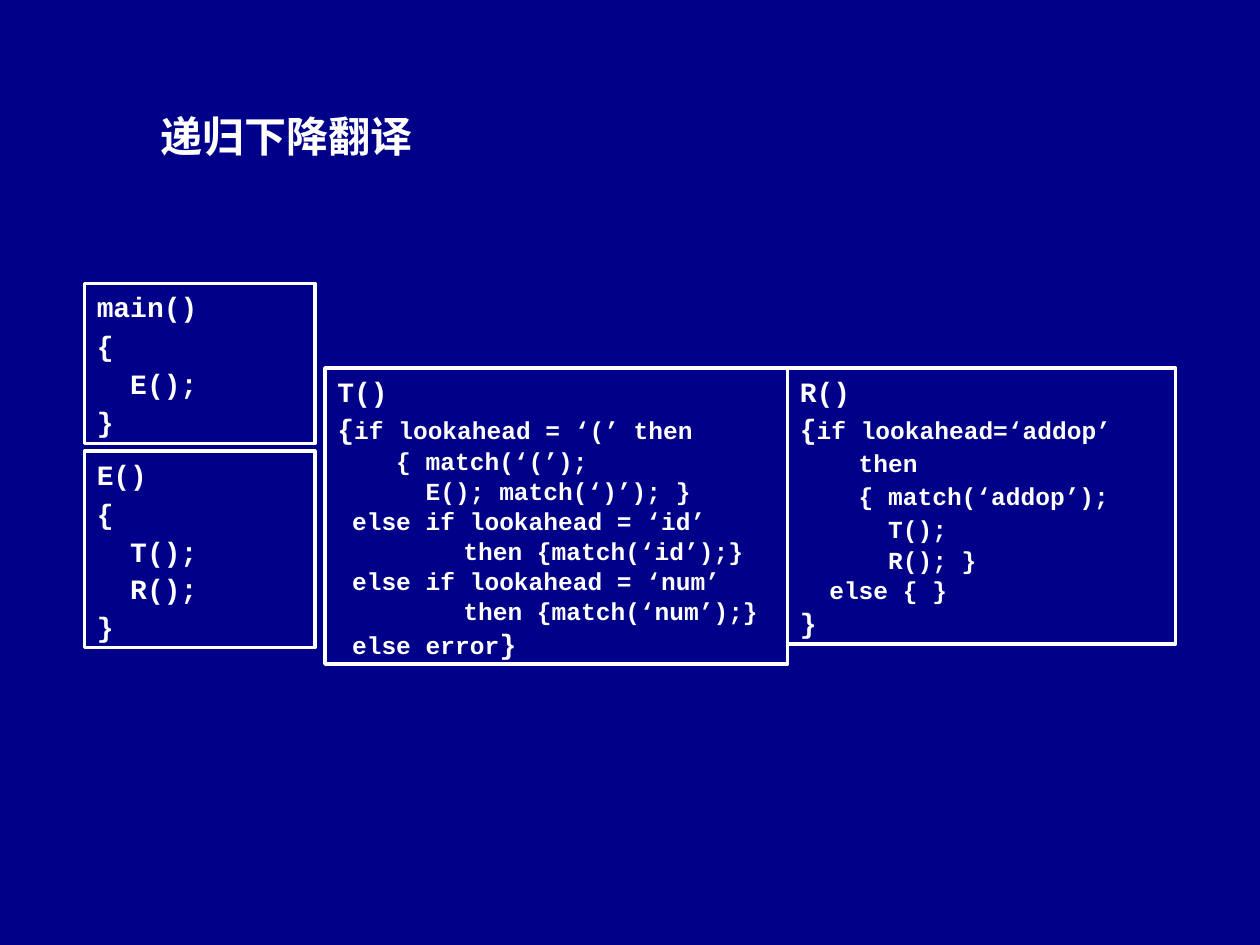
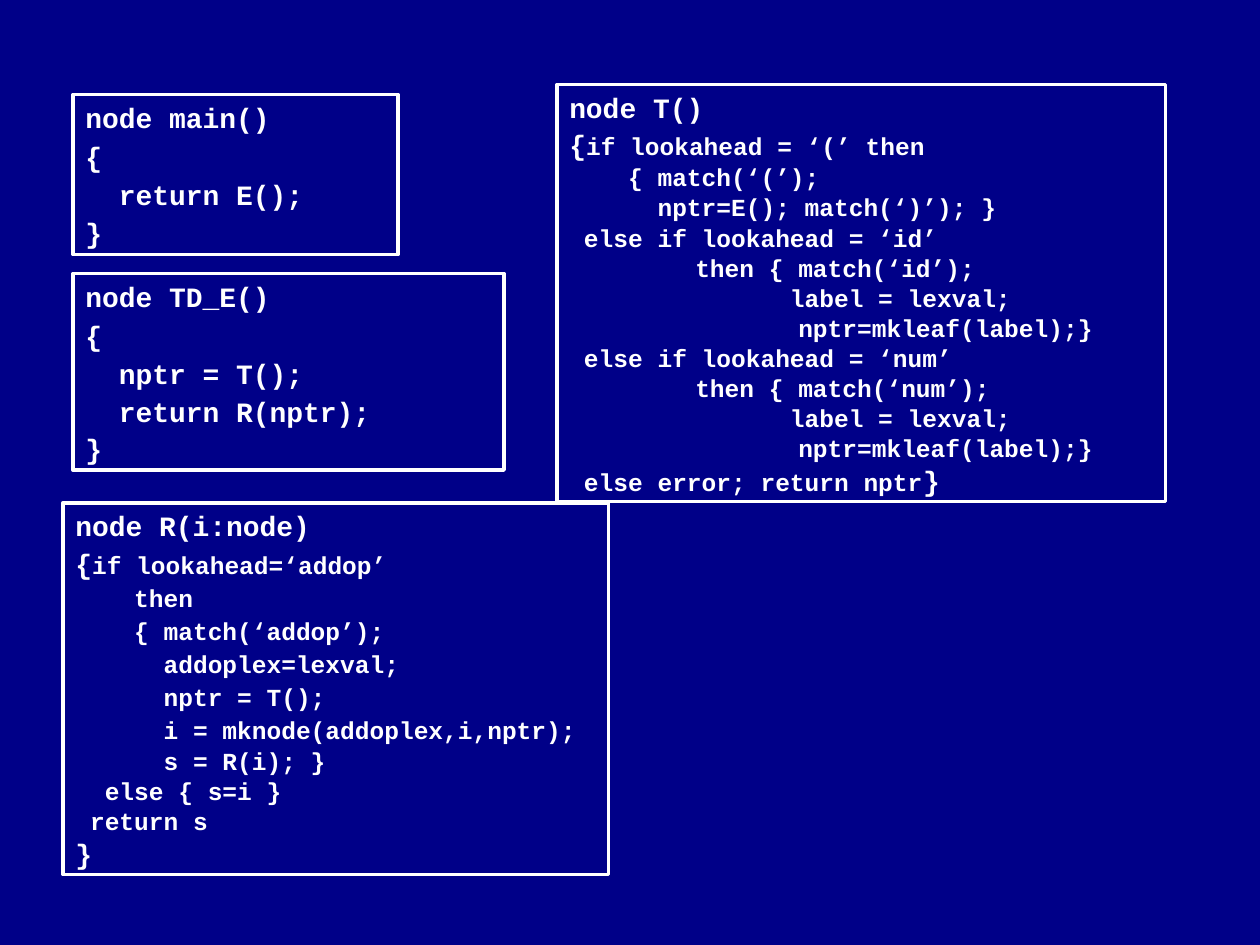
from dataclasses import dataclass

from lxml.etree import SubElement
from pptx import Presentation
from pptx.dml.color import RGBColor
from pptx.enum.shapes import MSO_SHAPE
from pptx.enum.text import MSO_ANCHOR, MSO_AUTO_SIZE, PP_ALIGN
from pptx.oxml.ns import qn
from pptx.util import Inches, Pt

NAVY = "000088"
WHITE = "FFFFFF"
CODE_FONT = "Courier New"
TITLE_FONT = "Times New Roman"
BIG, SMALL = 16, 14
TITLE_ONLY, BLANK = 5, 6


@dataclass
class Box:
    left: float
    top: float
    width: float
    height: float
    code: str
    loose: int = 0


MAIN = """main()
{
  E();
}"""

EXPR = """E()
{
  T();
  R();
}"""

TERM = """T()
{if lookahead = ‘(’ then
    { match(‘(’);
      E(); match(‘)’); }
 else if lookahead = ‘id’
\tthen {match(‘id’);}
 else if lookahead = ‘num’
\tthen {match(‘num’);}
 else error}"""

REST = """R()
{if lookahead=‘addop’
    then
    { match(‘addop’);
      T();
      R(); }
  else { }
}"""

NODE_MAIN = """node main()
{
  return E();
}"""

NODE_EXPR = """node TD_E()
{
  nptr = T();
  return R(nptr);
}"""

NODE_TERM = """node T()
{if lookahead = ‘(’ then
    { match(‘(’);
      nptr=E(); match(‘)’); }
 else if lookahead = ‘id’
\tthen { match(‘id’);
               label = lexval;
\t       nptr=mkleaf(label);}
 else if lookahead = ‘num’
\tthen { match(‘num’);
               label = lexval;
\t       nptr=mkleaf(label);}
 else error; return nptr}"""

NODE_REST = """node R(i:node)
{if lookahead=‘addop’
    then
    { match(‘addop’);
      addoplex=lexval;
      nptr = T();
      i = mknode(addoplex,i,nptr);
      s = R(i); }
  else { s=i }
 return s
}"""

PARSER = [
    Box(0.67, 2.25, 1.83, 1.27, MAIN),
    Box(0.67, 3.58, 1.83, 1.56, EXPR),
    Box(2.58, 2.92, 3.67, 2.35, TERM, loose=1),
    Box(6.25, 2.92, 3.08, 2.19, REST, loose=4),
]

BUILDER = [
    Box(0.58, 0.75, 2.58, 1.27, NODE_MAIN),
    Box(0.58, 2.17, 3.42, 1.56, NODE_EXPR),
    Box(4.42, 0.67, 4.83, 3.31, NODE_TERM, loose=1),
    Box(0.5, 3.99, 4.33, 2.95, NODE_REST, loose=6),
]


def color(code: str) -> RGBColor:
    return RGBColor.from_string(code)


def style(run, font: str, size: float) -> None:
    run.font.name = font
    run.font.size = Pt(size)
    run.font.bold = True
    run.font.color.rgb = color(WHITE)


def set_frame(frame) -> None:
    frame.word_wrap = True
    frame.auto_size = MSO_AUTO_SIZE.SHAPE_TO_FIT_TEXT
    frame.vertical_anchor = MSO_ANCHOR.TOP


def add_tab(para, inches: float) -> None:
    tabs = SubElement(para._p.get_or_add_pPr(), qn("a:tabLst"))
    SubElement(tabs, qn("a:tab"), pos=str(Inches(inches)), algn="l")


def split(line: str, row: int, last: int) -> list[tuple[str, int]]:
    if row == 1:
        parts = [("{", BIG), (line[1:], SMALL)]
    elif row == last:
        parts = [(line[:-1], SMALL), ("}", BIG)]
    else:
        parts = [(line, SMALL)]
    return [part for part in parts if part[0]]


def format_line(para, row: int, last: int, loose: int) -> None:
    para.alignment = PP_ALIGN.LEFT
    if "\t" in para.text:
        add_tab(para, 1)
    if row:
        para.line_spacing = 0.5 if loose and row > loose else 0.6
        para.space_before = Pt(8.8 if loose and row < last else 10)
    if row and loose:
        parts = split(para.text, row, last)
        para.clear()
        for text, size in parts:
            run = para.add_run()
            run.text = text
            style(run, CODE_FONT, size)
    else:
        style(para.runs[0], CODE_FONT, BIG)


def add_box(slide, box: Box) -> None:
    place = map(Inches, (box.left, box.top, box.width, box.height))
    shape = slide.shapes.add_shape(MSO_SHAPE.RECTANGLE, *place)
    shape.shadow.inherit = False
    shape.fill.background()
    shape.line.color.rgb = color(WHITE)
    shape.line.width = Pt(2)
    frame = shape.text_frame
    set_frame(frame)
    frame.text = box.code
    last = len(frame.paragraphs) - 1
    for row, para in enumerate(frame.paragraphs):
        format_line(para, row, last, box.loose)


def set_title(slide, text: str) -> None:
    title = slide.shapes.title
    title.left, title.top = Inches(1.17), Inches(0.83)
    title.width, title.height = Inches(4), Inches(0.5)
    frame = title.text_frame
    frame.text = text
    set_frame(frame)
    para = frame.paragraphs[0]
    para.alignment = PP_ALIGN.LEFT
    style(para.runs[0], TITLE_FONT, 24)


def add_slide(deck, boxes: list[Box], title: str = "") -> None:
    layout = deck.slide_layouts[TITLE_ONLY if title else BLANK]
    slide = deck.slides.add_slide(layout)
    if title:
        set_title(slide, title)
    for box in boxes:
        add_box(slide, box)


def main() -> None:
    deck = Presentation()
    deck.slide_width, deck.slide_height = Inches(10), Inches(7.5)
    back = deck.slide_master.background.fill
    back.solid()
    back.fore_color.rgb = color(NAVY)
    add_slide(deck, PARSER, "递归下降翻译")
    add_slide(deck, BUILDER)
    deck.save("out.pptx")


if __name__ == "__main__":
    main()
